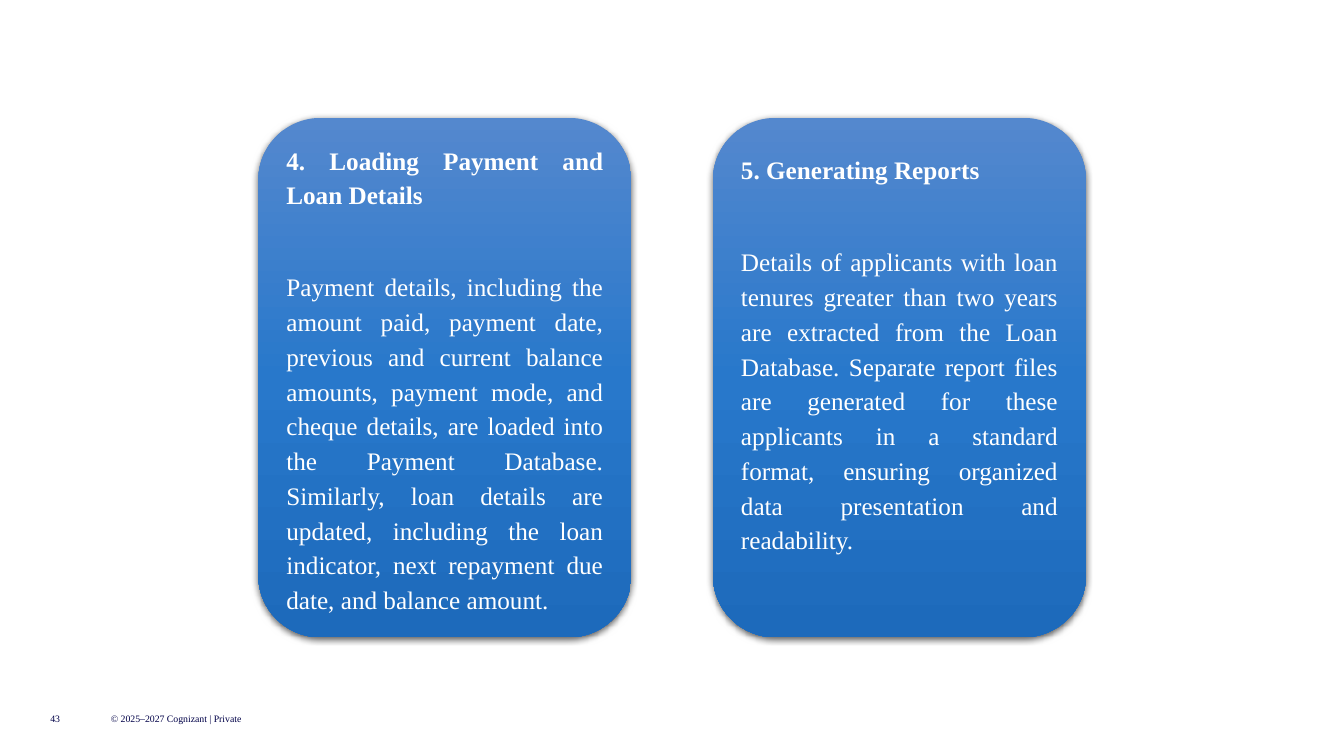
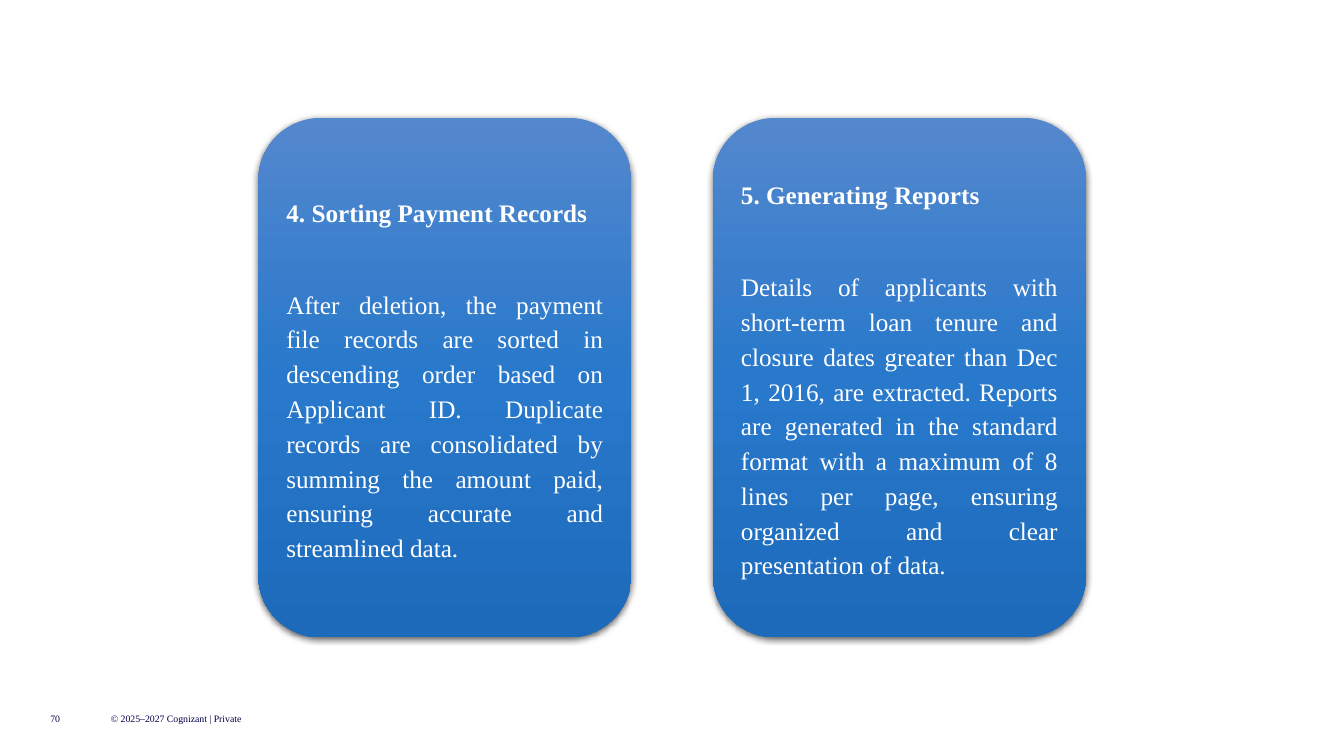
from copy import deepcopy

from lxml.etree import SubElement
from pptx import Presentation
from pptx.dml.color import RGBColor
from pptx.enum.shapes import MSO_SHAPE as Preset
from pptx.enum.text import MSO_ANCHOR as Anchor, PP_ALIGN as Align
from pptx.oxml.ns import qn
from pptx.util import Pt

WHITE = RGBColor(0xFF, 0xFF, 0xFF)
NAVY = RGBColor(0x00, 0x00, 0x48)
BLACK = RGBColor(0x00, 0x00, 0x00)
CARD_STOPS = (
    (0, RGBColor(0x54, 0x88, 0xCE)),
    (0.5, RGBColor(0x28, 0x78, 0xCB)),
    (1, RGBColor(0x1D, 0x6A, 0xBB)),
)
FONT = "Times New Roman"
COPYRIGHT = "© 2025–2027 Cognizant | Private"

SLIDE_W, SLIDE_H = 960, 540
CARD_LEFT, CARD_TOP = 184.5, 84.25
CARD_W, CARD_H = 266.5, 371
CARD_STEP = 324.75
HEADING_GAP = 40.8
BOTTOM_INSET = 3.6

STEPS = (
    ("43", (
        ("4. Loading Payment and Loan Details",
         "Payment details, including the amount paid, payment date, previous and "
         "current balance amounts, payment mode, and cheque details, are loaded into "
         "the Payment Database. Similarly, loan details are updated, including the "
         "loan indicator, next repayment due date, and balance amount.", 0),
        ("5. Generating Reports",
         "Details of applicants with loan tenures greater than two years are extracted "
         "from the Loan Database. Separate report files are generated for these "
         "applicants in a standard format, ensuring organized data presentation and "
         "readability.", 35.8),
    )),
    ("70", (
        ("4. Sorting Payment Records",
         "After deletion, the payment file records are sorted in descending order based "
         "on Applicant ID. Duplicate records are consolidated by summing the amount "
         "paid, ensuring accurate and streamlined data.", 0),
        ("5. Generating Reports",
         "Details of applicants with short-term loan tenure and closure dates greater "
         "than Dec 1, 2016, are extracted. Reports are generated in the standard format "
         "with a maximum of 8 lines per page, ensuring organized and clear presentation "
         "of data.", 0),
    )),
)


def add_run(paragraph, text, size, color, bold=False):
    paragraph.alignment = Align.JUSTIFY
    run = paragraph.add_run()
    run.text = text
    run.font.name = FONT
    run.font.size = Pt(size)
    run.font.bold = bold
    run.font.color.rgb = color


def fill_gradient(card):
    card.fill.gradient()
    card.fill.gradient_angle = 270
    first_stop = card.fill._xPr.find(".//" + qn("a:gs"))
    first_stop.addnext(deepcopy(first_stop))
    for stop, (position, color) in zip(card.fill.gradient_stops, CARD_STOPS):
        stop.position = position
        stop.color.rgb = color


def cast_shadow(card):
    card.shadow.inherit = False
    effects = card._element.spPr.find(qn("a:effectLst"))
    shadow = SubElement(effects, qn("a:outerShdw"), blurRad=str(Pt(4.5)),
                        dist=str(Pt(1.5)), dir="5400000", algn="ctr", rotWithShape="0")
    color = SubElement(shadow, qn("a:srgbClr"), val=str(BLACK))
    SubElement(color, qn("a:alpha"), val="63000")


def add_card(slide, left, top, width, height, heading, details, lift):
    card = slide.shapes.add_shape(
        Preset.ROUNDED_RECTANGLE, Pt(left), Pt(top), Pt(width), Pt(height))
    fill_gradient(card)
    card.line.fill.background()
    cast_shadow(card)
    frame = card.text_frame
    frame.word_wrap = True
    frame.vertical_anchor = Anchor.MIDDLE
    frame.margin_bottom = Pt(BOTTOM_INSET + lift)
    heading_line, details_block = frame.paragraphs[0], frame.add_paragraph()
    for paragraph, text, gap, bold in (
            (heading_line, heading, HEADING_GAP, True),
            (details_block, details, 8, False)):
        paragraph.line_spacing = 1.15
        paragraph.space_after = Pt(gap)
        add_run(paragraph, text, 18, WHITE, bold)


def add_footer(slide, left, top, height, number):
    for offset, width, text in ((0, 28.8, number), (43.2, 139.7, COPYRIGHT)):
        label = slide.shapes.add_textbox(
            Pt(left + offset), Pt(top), Pt(width), Pt(height))
        frame = label.text_frame
        frame.word_wrap = True
        frame.vertical_anchor = Anchor.MIDDLE
        frame.margin_left = frame.margin_right = 0
        frame.margin_top = frame.margin_bottom = 0
        add_run(frame.paragraphs[0], text, 7, NAVY)


def add_steps_slide(deck, number, cards):
    slide = deck.slides.add_slide(deck.slide_layouts[6])
    add_footer(slide, 36, 504, 18, number)
    for index, (heading, details, lift) in enumerate(cards):
        add_card(slide, CARD_LEFT + index * CARD_STEP, CARD_TOP, CARD_W, CARD_H,
                 heading, details, lift)


def main():
    deck = Presentation()
    deck.slide_width, deck.slide_height = Pt(SLIDE_W), Pt(SLIDE_H)
    for number, cards in STEPS:
        add_steps_slide(deck, number, cards)
    deck.save("out.pptx")


if __name__ == "__main__":
    main()
